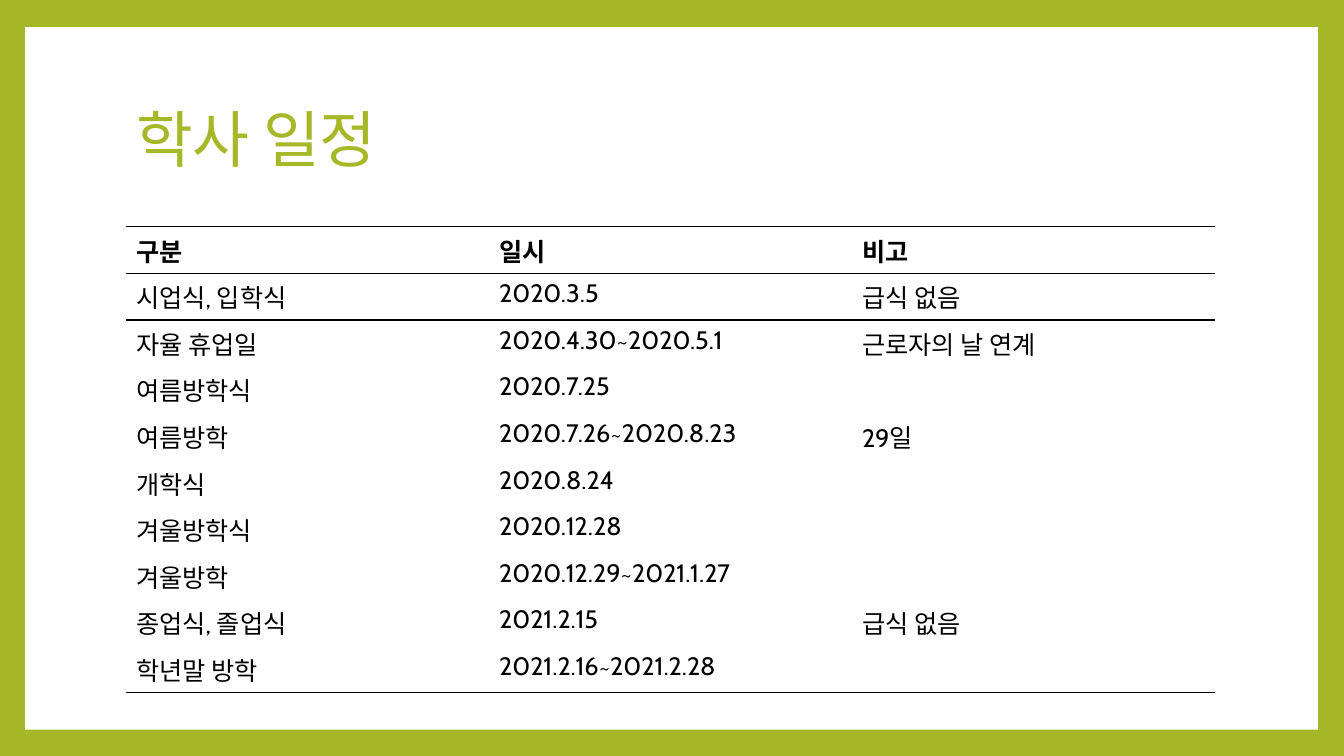
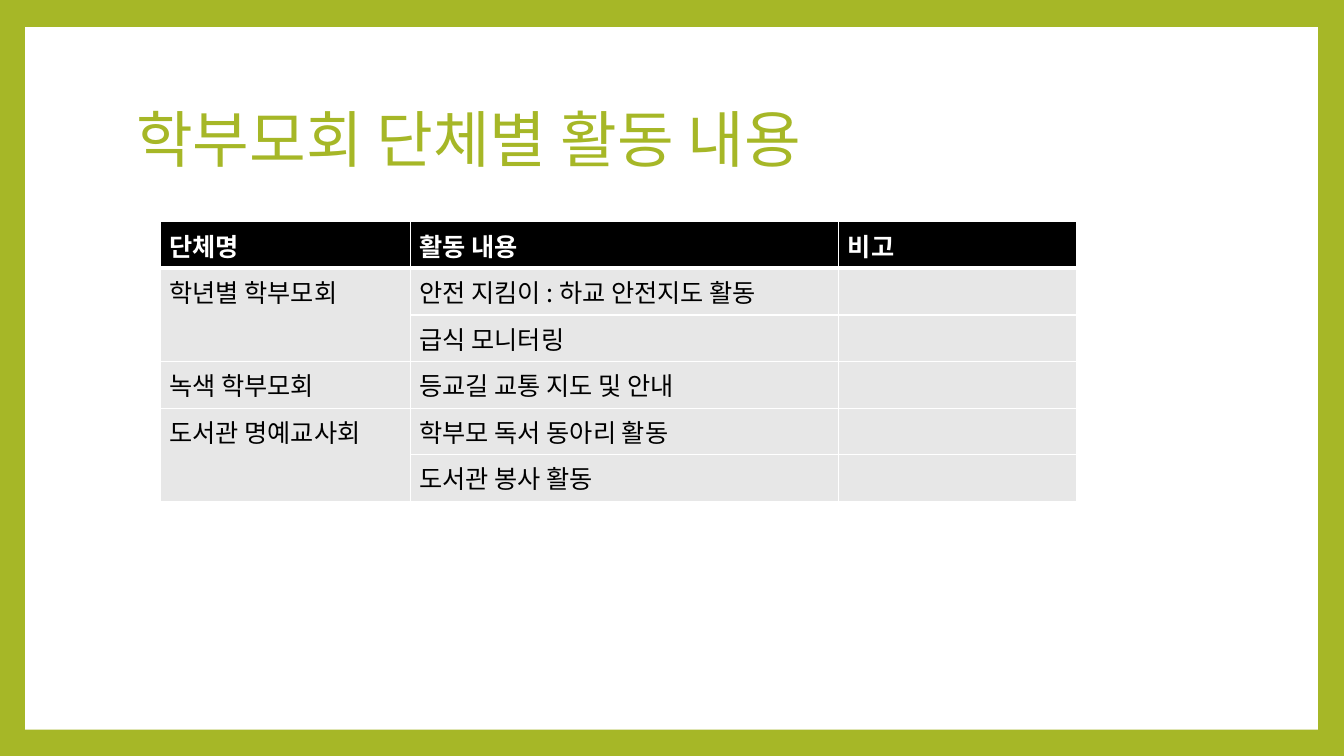
import pptx
import pptx.dml.color
import pptx.enum.shapes
import pptx.enum.text
import pptx.oxml
import pptx.oxml.ns
import pptx.util

Inches = pptx.util.Inches
Pt = pptx.util.Pt
qn = pptx.oxml.ns.qn

GREEN, WHITE, BLACK, GRAY = "A6B727", "FFFFFF", "000000", "E7E7E7"
KOREAN, LATIN = "Noto Sans CJK KR", "Cabin"
PLAIN_TABLE = "{2D5ABB26-0587-4C30-8999-92F81FD0307C}"


def rgb(color):
    return pptx.dml.color.RGBColor.from_string(color)


class Deck:
    def __init__(self):
        self.prs = pptx.Presentation()
        self.prs.slide_width = Inches(13.33)
        self.prs.slide_height = Inches(7.5)
        self.layout = self.prs.slide_layouts[5]
        self.s = None
        fill = self.prs.slide_master.background.fill
        fill.solid()
        fill.fore_color.rgb = rgb(GREEN)

    def slide(self, title):
        first = self.s is None
        self.s = self.prs.slides.add_slide(self.layout)
        if first:
            self.panel()
        self.title(title)

    def panel(self):
        sp = self.s.shapes.add_shape(
            pptx.enum.shapes.MSO_SHAPE.RECTANGLE,
            Inches(0.25), Inches(0.27), Inches(12.82), Inches(6.97))
        sp.shadow.inherit = False
        sp.fill.solid()
        sp.fill.fore_color.rgb = rgb(WHITE)
        sp.line.fill.background()
        self.layout.shapes._spTree.insert(2, sp._element)

    def title(self, text):
        sp = self.s.shapes.title
        sp.left, sp.top = Inches(1.25), Inches(0.67)
        sp.width, sp.height = Inches(10.8), Inches(1.48)
        tf = sp.text_frame
        tf.text = text
        tf.word_wrap = True
        tf.vertical_anchor = pptx.enum.text.MSO_ANCHOR.MIDDLE
        p = tf.paragraphs[0]
        p.alignment = pptx.enum.text.PP_ALIGN.LEFT
        p.line_spacing = 0.9
        self.font(p.runs[0], 44, KOREAN, GREEN)

    def font(self, r, size, name, color, bold=False):
        r.font.size = Pt(size)
        r.font.name = name
        r.font.bold = bold
        r.font.color.rgb = rgb(color)
        r._r.get_or_add_rPr().find(qn("a:latin")).addnext(pptx.oxml.parse_xml(
            '<a:ea %s typeface="%s"/>' % (pptx.oxml.ns.nsdecls("a"), KOREAN)))

    def border(self, cell, side, color, width):
        cell._tc.get_or_add_tcPr().append(pptx.oxml.parse_xml(
            '<a:ln%s %s w="%d"><a:solidFill><a:srgbClr val="%s"/></a:solidFill></a:ln%s>'
            % (side, pptx.oxml.ns.nsdecls("a"), Pt(width), color, side)))

    def table(self, left, top, widths, rows, name, borders, margin=0.1,
              header_color=BLACK, header_fill=None, body_fill=None):
        row_height = 0.41
        table = self.s.shapes.add_table(
            len(rows), len(widths), Inches(left), Inches(top),
            Inches(sum(widths)), Inches(row_height * len(rows))).table
        table._tbl.tblPr.find(qn("a:tableStyleId")).text = PLAIN_TABLE
        table.horz_banding = False
        for column, width in zip(table.columns, widths):
            column.width = Inches(width)
        for i, values in enumerate(rows):
            table.rows[i].height = Inches(row_height)
            header = i == 0
            fill = header_fill if header else body_fill
            for j, value in enumerate(values):
                cell = table.cell(i, j)
                cell.margin_left = cell.margin_right = Inches(margin)
                for side, color, width in borders(i, len(rows)):
                    self.border(cell, side, color, width)
                if fill:
                    cell.fill.solid()
                    cell.fill.fore_color.rgb = rgb(fill)
                if value:
                    p = cell.text_frame.paragraphs[0]
                    p.text = value
                    self.font(p.runs[0], 18, name,
                              header_color if header else BLACK, header)
        return table


def ruled(i, count):
    sides = {0: "TB", 1: "T", count - 1: "B"}.get(i, "")
    return [(side, BLACK, 1) for side in sides]


def gridded(i, count):
    heavy = {0: "B", 1: "T"}.get(i)
    return [(side, WHITE, 3 if side == heavy else 1) for side in "LRTB"]


deck = Deck()

deck.slide("학사 일정")
deck.table(1.25, 2.25, [3.6] * 3, [
    ("구분", "일시", "비고"),
    ("시업식, 입학식", "2020.3.5", "급식 없음"),
    ("자율 휴업일", "2020.4.30~2020.5.1", "근로자의 날 연계"),
    ("여름방학식", "2020.7.25", ""),
    ("여름방학", "2020.7.26~2020.8.23", "29일"),
    ("개학식", "2020.8.24", ""),
    ("겨울방학식", "2020.12.28", ""),
    ("겨울방학", "2020.12.29~2021.1.27", ""),
    ("종업식, 졸업식", "2021.2.15", "급식 없음"),
    ("학년말 방학", "2021.2.16~2021.2.28", ""),
], LATIN, ruled)

deck.slide("학부모회 단체별 활동 내용")
groups = deck.table(1.59, 2.2, [2.48, 4.25, 2.36], [
    ("단체명", "활동 내용", "비고"),
    ("학년별 학부모회", "안전 지킴이 : 하교 안전지도 활동", ""),
    ("", "급식 모니터링", ""),
    ("녹색 학부모회", "등교길 교통 지도 및 안내", ""),
    ("도서관 명예교사회", "학부모 독서 동아리 활동", ""),
    ("", "도서관 봉사 활동", ""),
], KOREAN, gridded, 0.09, WHITE, BLACK, GRAY)
for row in (1, 4):
    groups.cell(row, 0).merge(groups.cell(row + 1, 0))

deck.prs.save("out.pptx")
